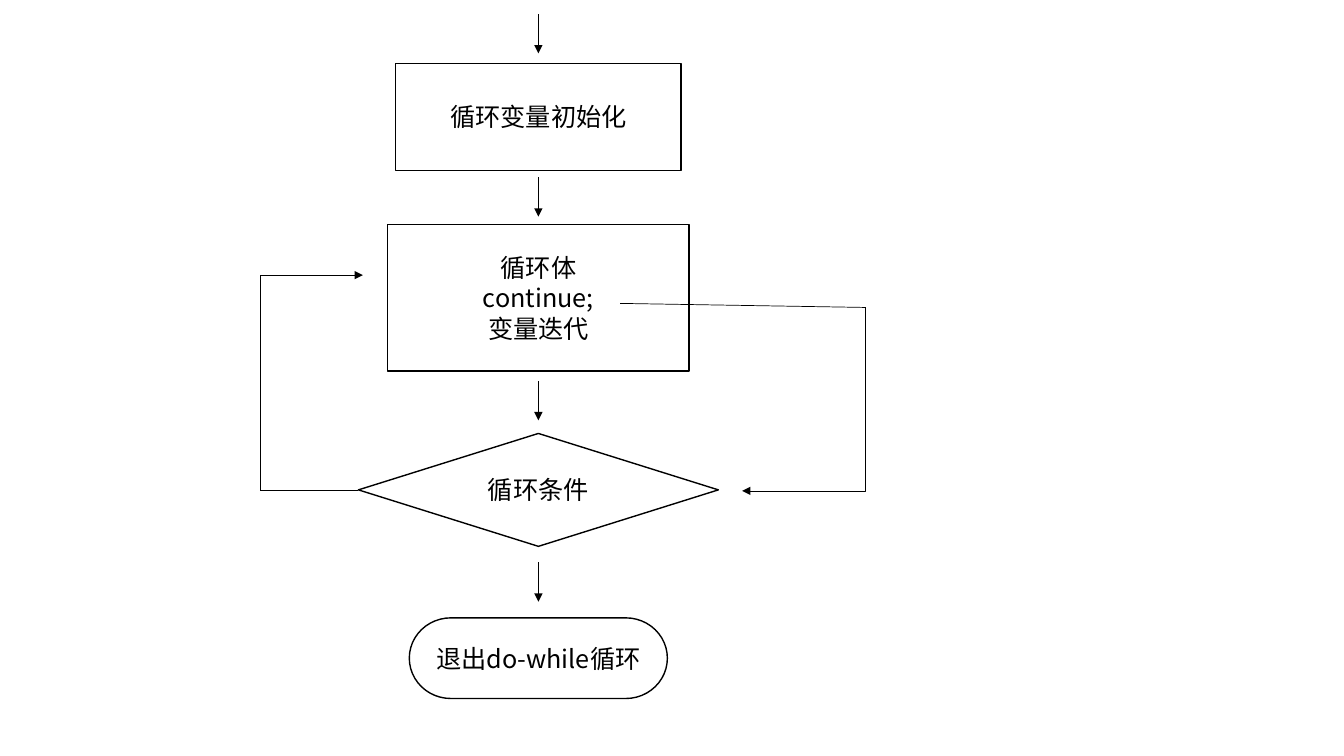
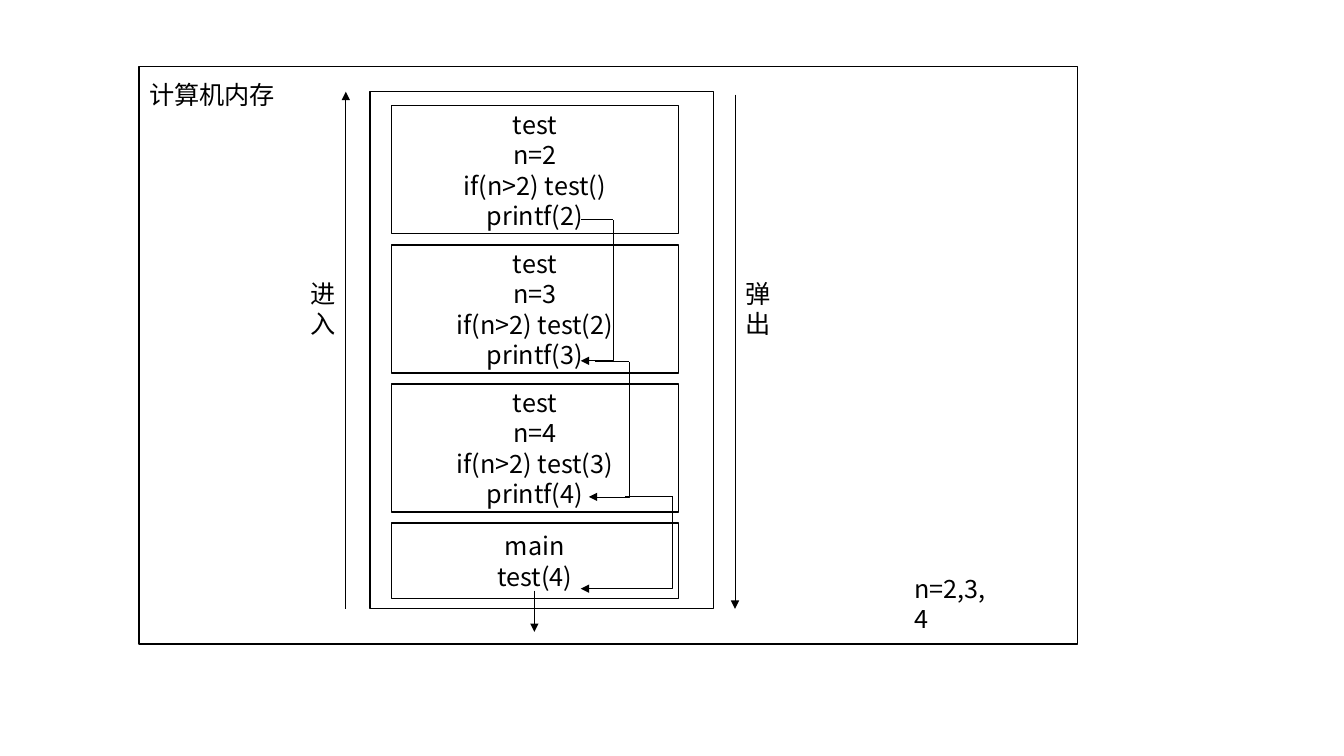
from pptx import Presentation
from pptx.dml.color import RGBColor
from pptx.enum.shapes import MSO_CONNECTOR, MSO_SHAPE
from pptx.enum.text import MSO_ANCHOR, PP_ALIGN
from pptx.oxml.ns import qn
from pptx.util import Inches, Pt
from lxml import etree

STRAIGHT, ELBOW = MSO_CONNECTOR.STRAIGHT, MSO_CONNECTOR.ELBOW
RECTANGLE = MSO_SHAPE.RECTANGLE
DECISION = MSO_SHAPE.FLOWCHART_DECISION
TERMINATOR = MSO_SHAPE.FLOWCHART_TERMINATOR
CENTER, LEFT = PP_ALIGN.CENTER, PP_ALIGN.LEFT
MIDDLE, TOP = MSO_ANCHOR.MIDDLE, MSO_ANCHOR.TOP
LEFT_SIDE = 1

COLORS = {"ink": "000000", "paper": "FFFFFF"}
FONT = "Noto Sans CJK SC"
FONT_SIZE = 18
BOX_LINE, ROUTE_LINE = 1, 0.5


def color(name):
    return RGBColor.from_string(COLORS[name])


def write_lines(shape, lines, alignment, anchor):
    frame = shape.text_frame
    frame.word_wrap = True
    frame.vertical_anchor = anchor
    for index, line in enumerate(lines):
        paragraph = frame.paragraphs[0] if index == 0 else frame.add_paragraph()
        paragraph.alignment = alignment
        run = paragraph.add_run()
        run.text = line
        run.font.size = Pt(FONT_SIZE)
        run.font.color.rgb = color("ink")
        run.font.name = FONT
        east_asian = etree.SubElement(run.font._element, qn("a:ea"))
        east_asian.set("typeface", FONT)


def add_box(slide, kind, left, top, width, height, lines=()):
    shape = slide.shapes.add_shape(
        kind, Inches(left), Inches(top), Inches(width), Inches(height))
    shape.shadow.inherit = False
    shape.fill.solid()
    shape.fill.fore_color.rgb = color("paper")
    shape.line.color.rgb = color("ink")
    shape.line.width = Pt(BOX_LINE)
    write_lines(shape, lines, CENTER, MIDDLE)
    return shape


def add_label(slide, left, top, width, height, *lines):
    label = slide.shapes.add_textbox(
        Inches(left), Inches(top), Inches(width), Inches(height))
    write_lines(label, lines, LEFT, TOP)


def add_route(slide, kind, start, end, arrow_end=None):
    """Draw a thin connector; arrow_end is "headEnd" (start), "tailEnd" or None."""
    points = [Inches(value) for value in (*start, *end)]
    connector = slide.shapes.add_connector(kind, *points)
    connector.line.color.rgb = color("ink")
    connector.line.width = Pt(ROUTE_LINE)
    properties = connector._element.spPr
    if arrow_end:
        line = properties.find(qn("a:ln"))
        etree.SubElement(line, qn(f"a:{arrow_end}")).set("type", "triangle")
    etree.SubElement(properties, qn("a:effectLst"))
    return connector


def add_line(slide, start, end):
    return add_route(slide, STRAIGHT, start, end)


def add_arrow(slide, start, end):
    return add_route(slide, STRAIGHT, start, end, "tailEnd")


def add_corner_arrow(slide, start, tip):
    """Go vertically from start, then horizontally to the arrow tip."""
    # An elbow leaves its first point horizontally, so it is built from the tip.
    connector = add_route(slide, ELBOW, tip, start, "headEnd")
    adjustments = connector._element.spPr.find(qn("a:prstGeom")).find(qn("a:avLst"))
    if adjustments is None:
        geometry = connector._element.spPr.find(qn("a:prstGeom"))
        adjustments = etree.SubElement(geometry, qn("a:avLst"))
    guide = etree.SubElement(adjustments, qn("a:gd"))
    guide.set("name", "adj1")
    guide.set("fmla", "val 100000")


def draw_loop_flowchart(slide, left, top, width):
    axis = left + 2.76
    right = left + width
    steps = [
        (RECTANGLE, 0.49, 2.83, 1.06, ["循环变量初始化"]),
        (RECTANGLE, 2.09, 2.99, 1.45, ["循环体", "continue;", "变量迭代"]),
        (DECISION, 4.16, 3.57, 1.12, ["循环条件"]),
        (TERMINATOR, 5.99, 2.56, 0.8, ["退出do-while循环"]),
    ]
    boxes = [
        add_box(slide, kind, axis - box_width / 2, top + offset,
                box_width, box_height, lines)
        for kind, offset, box_width, box_height, lines in steps
    ]
    for offset in (0, 1.62, 3.64, 5.44):
        add_arrow(slide, (axis, top + offset), (axis, top + offset + 0.39))

    condition = boxes[2]
    repeat_corner = (left, top + 4.72)
    repeat_line = add_line(slide, (left + 0.97, top + 4.72), repeat_corner)
    repeat_line.begin_connect(condition, LEFT_SIDE)
    add_corner_arrow(slide, repeat_corner, (left + 1.02, top + 2.59))

    continue_corner = (right, top + 2.91)
    add_line(slide, continue_corner, (left + 3.57, top + 2.87))
    add_corner_arrow(slide, continue_corner, (left + 4.78, top + 4.73))


def draw_call_stack(slide, left, top, width, height):
    add_box(slide, RECTANGLE, left, top, width, height)
    frame_height, gap = 1.27, 0.11
    calls = [
        (frame_height, ["test", "n=2", "if(n>2) test()", "printf(2)"]),
        (frame_height, ["test", "n=3", "if(n>2) test(2)", "printf(3)"]),
        (frame_height, ["test", "n=4", "if(n>2) test(3)", "printf(4)"]),
        (0.75, ["main", "test(4)"]),
    ]
    for index, (call_height, lines) in enumerate(calls):
        call_top = top + 0.14 + index * (frame_height + gap)
        add_box(slide, RECTANGLE, left + 0.21, call_top, 2.85, call_height, lines)

    bottom = top + height
    enter, leave = left - 0.24, left + width + 0.21
    add_arrow(slide, (enter, bottom), (enter, top))
    add_arrow(slide, (leave, top + 0.03), (leave, bottom))
    add_label(slide, enter - 0.45, top + 1.8, 0.45, 0.71, "进", "入")
    add_label(slide, leave + 0.01, top + 1.8, 0.45, 0.71, "弹", "出")

    returns = [
        (2.09, 2.41, 1.27, 2.09, 2.67),
        (2.23, 2.57, 2.68, 2.17, 4.02),
        (2.53, 3.0, 4.01, 2.09, 4.93),
    ]
    for start_x, corner_x, start_y, tip_x, tip_y in returns:
        corner = (left + corner_x, top + start_y)
        add_line(slide, (left + start_x, top + start_y), corner)
        add_corner_arrow(slide, corner, (left + tip_x, top + tip_y))
    add_arrow(slide, (left + 1.63, top + 4.95), (left + 1.63, top + 5.36))


def draw_memory(slide, left, top, width, height):
    add_box(slide, RECTANGLE, left, top, width, height)
    add_label(slide, left, top + 0.08, 1.46, 0.4, "计算机内存")
    draw_call_stack(slide, left + 2.29, top + 0.25, 3.41, 5.13)
    add_label(slide, left + 7.59, top + 4.98, 1.02, 0.4, "n=2,3,4")


def main():
    presentation = Presentation()
    presentation.slide_width = Inches(13.33)
    presentation.slide_height = Inches(7.5)
    blank = presentation.slide_layouts[6]
    draw_loop_flowchart(presentation.slides.add_slide(blank), 2.58, 0.14, 6)
    draw_memory(presentation.slides.add_slide(blank), 1.38, 0.66, 9.31, 5.73)
    presentation.save("out.pptx")


if __name__ == "__main__":
    main()
